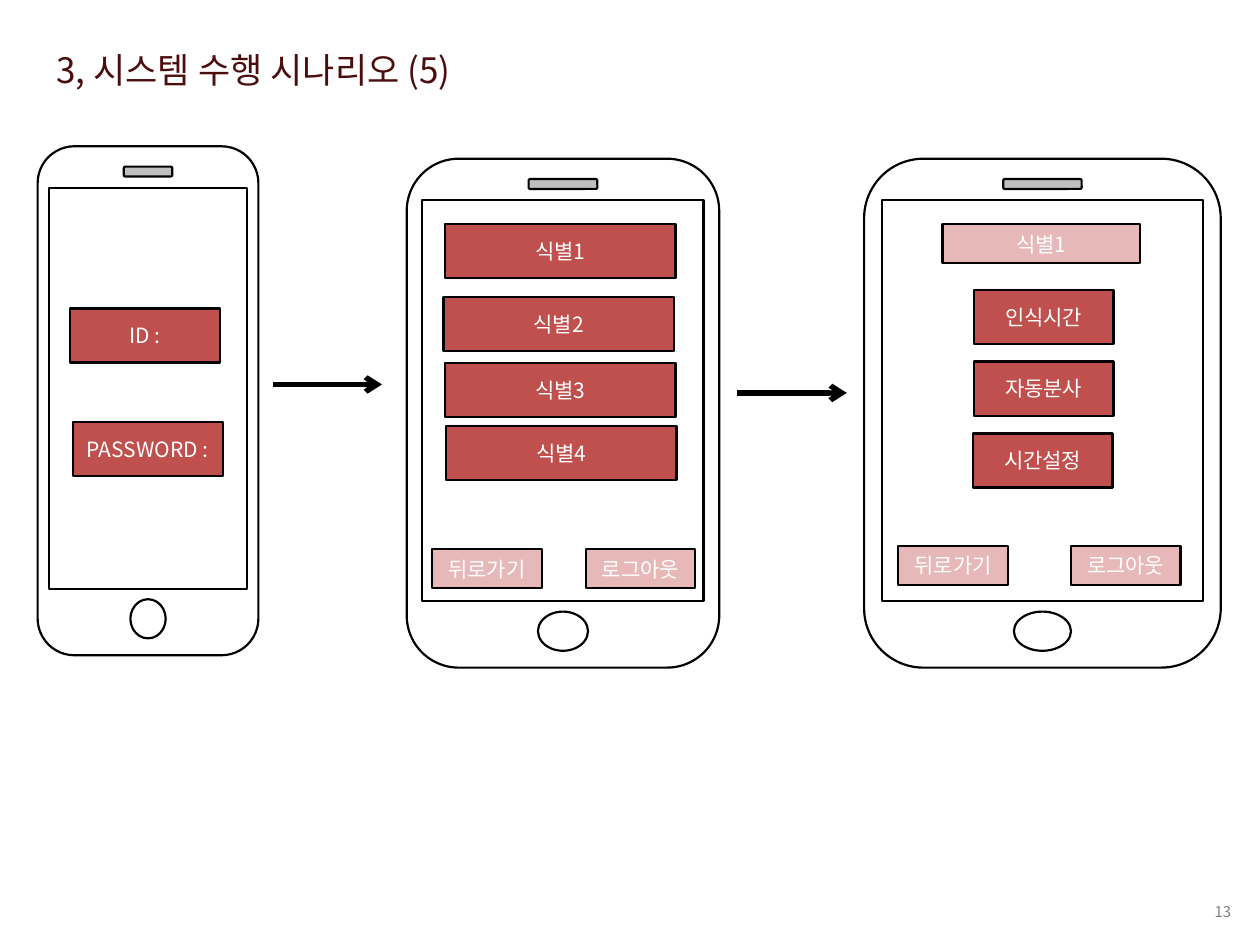
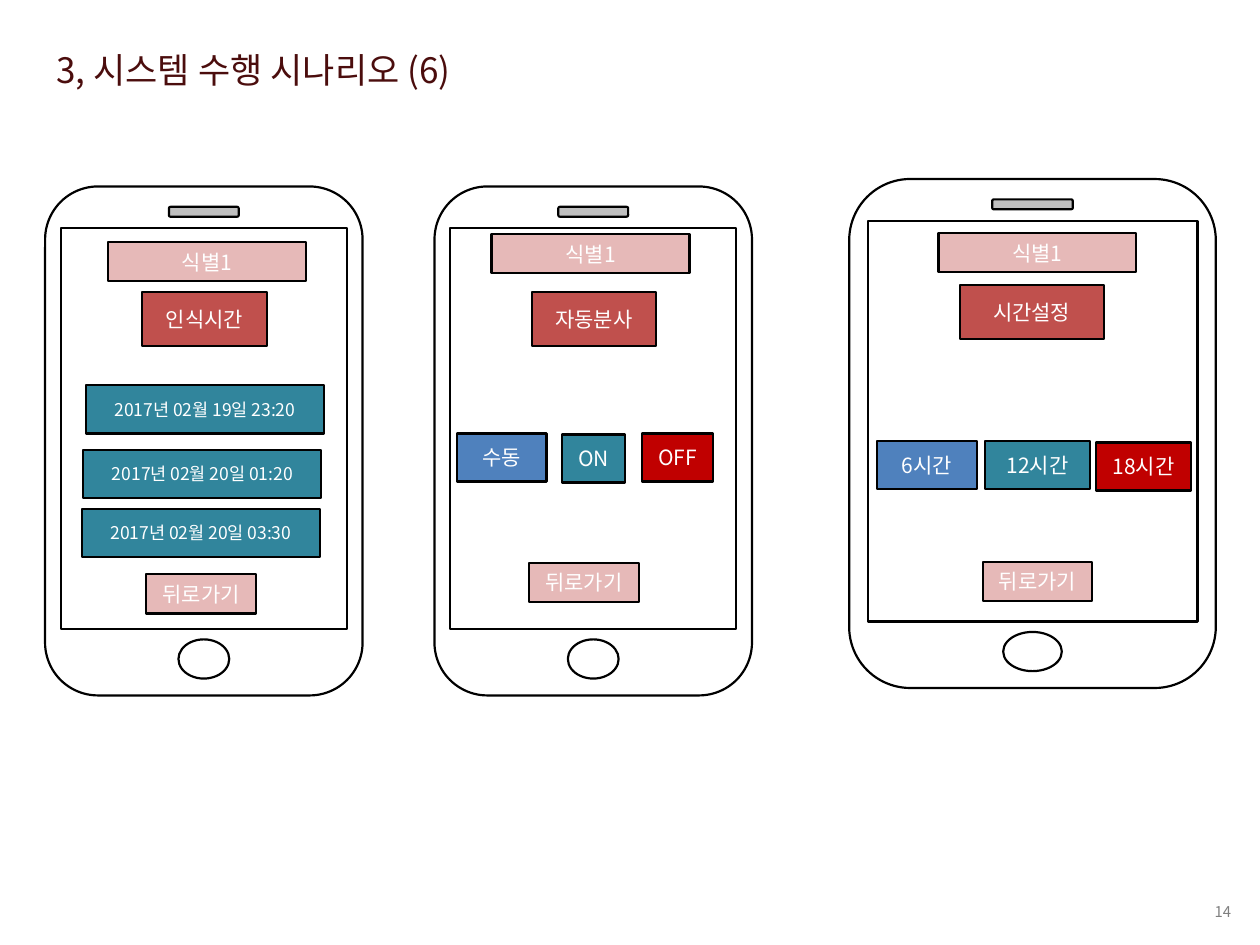
"""Build two slides of phone screens showing a system scenario."""
from dataclasses import dataclass
from typing import NamedTuple

from lxml.etree import SubElement
from pptx import Presentation
from pptx.dml.color import RGBColor
from pptx.enum.shapes import MSO_CONNECTOR, MSO_SHAPE
from pptx.enum.text import MSO_ANCHOR, PP_ALIGN
from pptx.oxml.ns import qn
from pptx.slide import Slide
from pptx.text.text import TextFrame
from pptx.util import Cm, Pt

FONT = "Noto Sans CJK KR"
BLACK, WHITE, SPEAKER_GREY, PAGE_GREY = "000000", "FFFFFF", "BFBFBF", "808080"
TITLE_RED, MENU_RED, NAV_PINK = "4B0D0D", "C0504D", "E6B9B8"
BLUE, TEAL, OFF_RED = "4F81BD", "31859C", "C00000"
PHONE_HEIGHT = 10.26


class ButtonStyle(NamedTuple):
    """Fill, height in cm and text size of a kind of button."""

    fill: str
    height: float
    size: float = 12


MENU = ButtonStyle(MENU_RED, 1.09)
NAV = ButtonStyle(NAV_PINK, 0.79)
RECORD = ButtonStyle(TEAL, 0.97, 10)
CHOICE_BLUE, CHOICE_TEAL, CHOICE_RED = (
    ButtonStyle(fill, 0.97) for fill in (BLUE, TEAL, OFF_RED))


class Button(NamedTuple):
    """A labelled button, placed in cm on the slide."""

    label: str
    left: float
    top: float
    width: float
    style: ButtonStyle = MENU


class Step(NamedTuple):
    """A horizontal arrow to the next phone, in cm."""

    start: float
    end: float
    y: float


@dataclass(frozen=True)
class Phone:
    """A phone outline with the buttons on its screen, in cm."""

    left: float
    top: float
    width: float
    buttons: tuple[Button, ...]


@dataclass(frozen=True)
class Scene:
    """The content of one slide."""

    title: str
    page: str
    phones: tuple[Phone, ...]
    steps: tuple[Step, ...] = ()


SCENES = (
    Scene("3, 시스템 수행 시나리오 (5)", "13", (
        Phone(0.76, 2.95, 4.45, (
            Button("ID :", 1.42, 6.22, 3.02),
            Button("PASSWORD :", 1.47, 8.51, 3.02),
        )),
        Phone(8.2, 3.2, 6.3, (
            Button("식별1", 8.97, 4.52, 4.65),
            Button("식별2", 8.94, 5.99, 4.65),
            Button("식별3", 8.97, 7.32, 4.65),
            Button("식별4", 8.99, 8.59, 4.65),
            Button("뒤로가기", 8.71, 11.07, 2.21, NAV),
            Button("로그아웃", 11.81, 11.07, 2.21, NAV),
        )),
        Phone(17.42, 3.2, 7.19, (
            Button("식별1", 19, 4.52, 3.99, NAV),
            Button("인식시간", 19.63, 5.84, 2.82),
            Button("자동분사", 19.63, 7.29, 2.82),
            Button("시간설정", 19.61, 8.74, 2.82),
            Button("뒤로가기", 18.11, 11, 2.21, NAV),
            Button("로그아웃", 21.59, 11, 2.21, NAV),
        )),
    ), (Step(5.51, 7.7, 7.75), Step(14.86, 17.07, 7.92))),
    Scene("3, 시스템 수행 시나리오 (6)", "14", (
        Phone(0.91, 3.76, 6.4, (
            Button("식별1", 2.18, 4.88, 3.99, NAV),
            Button("인식시간", 2.87, 5.89, 2.51),
            Button("2017년 02월 19일 23:20", 1.73, 7.77, 4.8, RECORD),
            Button("2017년 02월 20일 01:20", 1.68, 9.07, 4.8, RECORD),
            Button("2017년 02월 20일 03:30", 1.65, 10.26, 4.8, RECORD),
            Button("뒤로가기", 2.95, 11.58, 2.21, NAV),
        )),
        Phone(8.76, 3.76, 6.4, (
            Button("식별1", 9.91, 4.72, 3.99, NAV),
            Button("자동분사", 10.72, 5.89, 2.51),
            Button("수동", 9.22, 8.74, 1.8, CHOICE_BLUE),
            Button("ON", 11.33, 8.76, 1.27, CHOICE_TEAL),
            Button("OFF", 12.95, 8.74, 1.42, CHOICE_RED),
            Button("뒤로가기", 10.67, 11.35, 2.21, NAV),
        )),
        Phone(17.12, 3.61, 7.39, (
            Button("식별1", 18.92, 4.7, 3.99, NAV),
            Button("시간설정", 19.35, 5.74, 2.9),
            Button("6시간", 17.68, 8.89, 2.01, CHOICE_BLUE),
            Button("12시간", 19.86, 8.89, 2.11, CHOICE_TEAL),
            Button("18시간", 22.1, 8.92, 1.91, CHOICE_RED),
            Button("뒤로가기", 19.81, 11.33, 2.21, NAV),
        )),
    )),
)


def rgb(colour: str) -> RGBColor:
    """Turn a hex string into a colour."""
    return RGBColor.from_string(colour)


def write(frame: TextFrame, text: str, size: float, colour: str,
          align: PP_ALIGN = PP_ALIGN.LEFT,
          anchor: MSO_ANCHOR = MSO_ANCHOR.MIDDLE) -> None:
    """Put one formatted line into a text frame."""
    frame.text = text
    frame.vertical_anchor = anchor
    line = frame.paragraphs[0]
    line.alignment = align
    for run in line.runs:
        run.font.name = FONT
        run.font.size = Pt(size)
        run.font.color.rgb = rgb(colour)
        SubElement(run.font._element, qn("a:ea"), typeface=FONT)


def add_label(slide: Slide, text: str, left: float, top: float, width: float,
              height: float, size: float, colour: str,
              align: PP_ALIGN, anchor: MSO_ANCHOR) -> None:
    """Add a wrapping text box."""
    label = slide.shapes.add_textbox(Cm(left), Cm(top), Cm(width), Cm(height))
    label.text_frame.word_wrap = True
    write(label.text_frame, text, size, colour, align, anchor)


def add_part(slide: Slide, kind: MSO_SHAPE, left: float, top: float,
             width: float, height: float, fill: str | None = None) -> TextFrame:
    """Add an outlined shape and return its text frame."""
    part = slide.shapes.add_shape(
        kind, Cm(left), Cm(top), Cm(width), Cm(height))
    part.shadow.inherit = False
    part.line.color.rgb = rgb(BLACK)
    part.line.width = Pt(1.25)
    if fill:
        part.fill.solid()
        part.fill.fore_color.rgb = rgb(fill)
    else:
        part.fill.background()
    return part.text_frame


def add_button(slide: Slide, button: Button) -> None:
    """Draw a button with its centred label."""
    style = button.style
    frame = add_part(slide, MSO_SHAPE.RECTANGLE, button.left, button.top,
                     button.width, style.height, style.fill)
    frame.word_wrap = False
    write(frame, button.label, style.size, WHITE, PP_ALIGN.CENTER)


def add_phone(slide: Slide, phone: Phone) -> None:
    """Draw a phone, its parts centred in the body, and its buttons."""
    parts = (
        (MSO_SHAPE.ROUNDED_RECTANGLE, 1, 0, PHONE_HEIGHT, WHITE),
        (MSO_SHAPE.RECTANGLE, 0.9, 0.84, 8.08, None),
        (MSO_SHAPE.OVAL, 0.16, 9.13, 0.79, WHITE),
        (MSO_SHAPE.ROUNDED_RECTANGLE, 0.22, 0.41, 0.2, SPEAKER_GREY),
    )
    for kind, share, drop, height, fill in parts:
        width = phone.width * share
        left = phone.left + (phone.width - width) / 2
        add_part(slide, kind, left, phone.top + drop, width, height, fill)
    for button in phone.buttons:
        add_button(slide, button)


def add_step(slide: Slide, step: Step) -> None:
    """Draw the arrow between two phones."""
    arrow = slide.shapes.add_connector(
        MSO_CONNECTOR.STRAIGHT,
        Cm(step.start), Cm(step.y), Cm(step.end), Cm(step.y))
    arrow.line.color.rgb = rgb(BLACK)
    arrow.line.width = Pt(3)
    SubElement(arrow.line._get_or_add_ln(), qn("a:tailEnd"), type="arrow")
    SubElement(arrow._element.spPr, qn("a:effectLst"))


def add_scene(deck: Presentation, scene: Scene) -> None:
    """Add one slide with its title, page number, phones and arrows."""
    slide = deck.slides.add_slide(deck.slide_layouts[6])
    add_label(slide, scene.page, 19.71, 18.03, 5.36, 0.69, 8.5, PAGE_GREY,
              PP_ALIGN.RIGHT, MSO_ANCHOR.MIDDLE)
    add_label(slide, scene.title, 0.89, 0.86, 19.41, 1.12, 20, TITLE_RED,
              PP_ALIGN.LEFT, MSO_ANCHOR.TOP)
    for phone in scene.phones:
        add_phone(slide, phone)
    for step in scene.steps:
        add_step(slide, step)


def main() -> None:
    """Build and save the deck."""
    deck = Presentation()
    deck.slide_width, deck.slide_height = Cm(25.4), Cm(19.05)
    for scene in SCENES:
        add_scene(deck, scene)
    deck.save("out.pptx")


if __name__ == "__main__":
    main()
